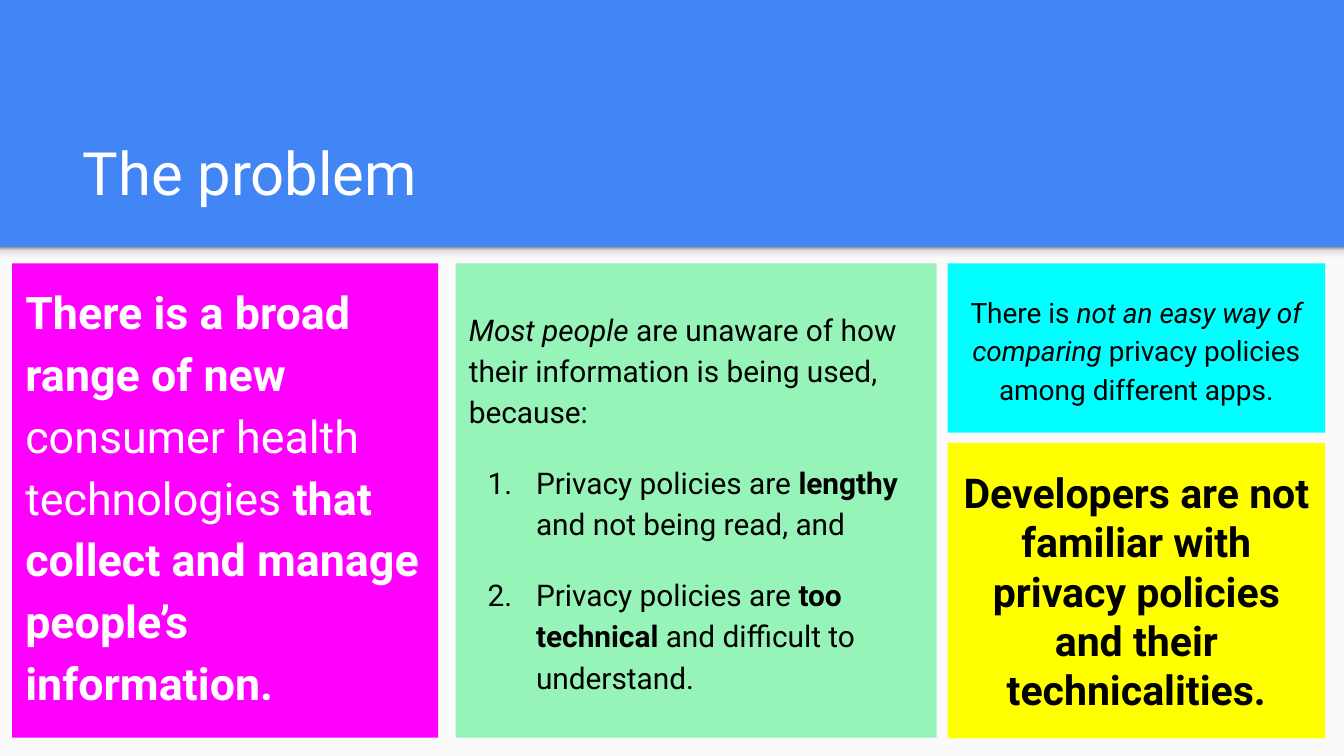
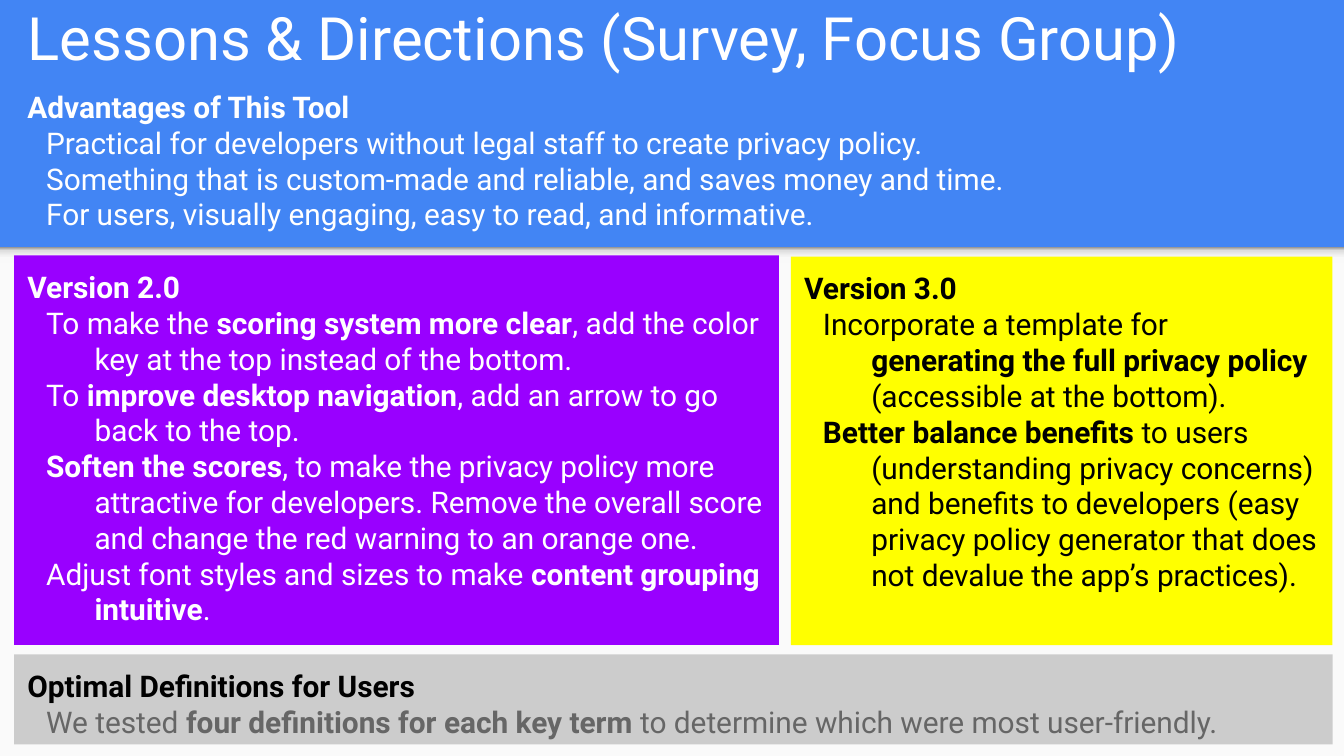
from dataclasses import dataclass
from typing import Optional

from lxml import etree
from pptx import Presentation
from pptx import util as u
from pptx.dml.color import RGBColor
from pptx.enum import shapes, text
from pptx.oxml.ns import qn

PX = 4572  # 200 px to the inch
PAGE_WIDTH, PAGE_HEIGHT = 2000, 1125
BAND_HEIGHT = 368


@dataclass(frozen=True)
class Theme:
    font: str = "Roboto"
    blue: str = "4285F4"
    panel: str = "FAFAFA"
    white: str = "FFFFFF"
    black: str = "000000"
    muted: str = "666666"
    magenta: str = "FF00FF"
    mint: str = "96F4B9"
    cyan: str = "00FFFF"
    yellow: str = "FFFF00"
    purple: str = "9900FF"
    silver: str = "CCCCCC"
    shadow: tuple = ((0, "F9F9F9"), (36, "F9F9F9"), (80, "DEDEDE"), (100, "999999"))
    title_size: int = 32
    lead_size: int = 24
    strong_size: int = 22
    body_size: int = 16
    small_size: int = 15
    inset: int = 20
    item_margin: int = 100
    item_indent: int = -72


THEME = Theme()


@dataclass(frozen=True)
class Area:
    left: int
    top: int
    width: int
    height: int

    def emu(self) -> tuple:
        return tuple(u.Emu(side * PX) for side in
                     (self.left, self.top, self.width, self.height))


@dataclass(frozen=True)
class Card:
    """A filled box; *stars* mark bold text and _underscores_ italic text."""
    area: Area
    fill: str
    heading: str
    items: tuple = ()
    ink: str = THEME.black
    item_ink: Optional[str] = None
    size: int = THEME.body_size
    numbered: bool = False
    spacing: float = 1.0
    after: int = 0
    align: text.PP_ALIGN = text.PP_ALIGN.LEFT
    anchor: text.MSO_ANCHOR = text.MSO_ANCHOR.TOP


@dataclass(frozen=True)
class Page:
    title: str
    title_area: Area
    cards: tuple


def add_rectangle(page, area: Area, fill: str):
    box = page.shapes.add_shape(shapes.MSO_SHAPE.RECTANGLE, *area.emu())
    box.shadow.inherit = False
    box.line.fill.background()
    box.fill.solid()
    box.fill.fore_color.rgb = RGBColor.from_string(fill)
    return box


def set_frame(frame, anchor) -> None:
    frame.word_wrap = True
    frame.auto_size = text.MSO_AUTO_SIZE.NONE
    frame.vertical_anchor = anchor
    frame.margin_left = frame.margin_right = u.Emu(THEME.inset * PX)
    frame.margin_top = frame.margin_bottom = u.Emu(THEME.inset * PX)


def style_font(font, size: int, ink: str) -> None:
    font.name = THEME.font
    font.size = u.Pt(size)
    font.color.rgb = RGBColor.from_string(ink)


def write_spans(para, marked: str, size: int, ink: str) -> None:
    for bold, chunk in enumerate(marked.split("*")):
        for italic, words in enumerate(chunk.split("_")):
            if words:
                span = para.add_run()
                span.text = words
                style_font(span.font, size, ink)
                span.font.bold = bold % 2 == 1
                span.font.italic = italic % 2 == 1


def indent_item(para, numbered: bool) -> None:
    props = para._p.get_or_add_pPr()
    props.set("marL", str(THEME.item_margin * PX))
    props.set("indent", str(THEME.item_indent * PX))
    if numbered:
        etree.SubElement(props, qn("a:buFont"), typeface=THEME.font)
        etree.SubElement(props, qn("a:buAutoNum"), type="arabicPeriod")
    else:
        etree.SubElement(props, qn("a:buNone"))


def add_card(page, card: Card) -> None:
    frame = add_rectangle(page, card.area, card.fill).text_frame
    set_frame(frame, card.anchor)
    for index, marked in enumerate((card.heading, *card.items)):
        para = frame.add_paragraph() if index else frame.paragraphs[0]
        if index:
            indent_item(para, card.numbered)
        para.alignment = card.align
        para.line_spacing = card.spacing
        para.space_after = u.Pt(card.after)
        ink = card.item_ink if index and card.item_ink else card.ink
        write_spans(para, marked, card.size, ink)


def add_backdrop(page) -> None:
    page.background.fill.solid()
    page.background.fill.fore_color.rgb = RGBColor.from_string(THEME.blue)
    add_rectangle(page, Area(0, BAND_HEIGHT, PAGE_WIDTH, PAGE_HEIGHT - BAND_HEIGHT),
                  THEME.panel)
    # Soft shadow under the blue band, dark edge on top
    edge = add_rectangle(page, Area(0, BAND_HEIGHT, PAGE_WIDTH, 24), THEME.panel)
    edge.fill.gradient()
    edge.fill.gradient_angle = 90
    stops = edge._element.spPr.find(qn("a:gradFill")).find(qn("a:gsLst"))
    for stop in list(stops):
        stops.remove(stop)
    for percent, tint in THEME.shadow:
        stop = etree.SubElement(stops, qn("a:gs"), pos=str(percent * 1000))
        etree.SubElement(stop, qn("a:srgbClr"), val=tint)


def add_title(page, title: str, area: Area) -> None:
    box = page.shapes.title
    box.left, box.top, box.width, box.height = area.emu()
    box.text_frame.text = title
    set_frame(box.text_frame, text.MSO_ANCHOR.BOTTOM)
    para = box.text_frame.paragraphs[0]
    para.alignment = text.PP_ALIGN.LEFT
    style_font(para.runs[0].font, THEME.title_size, THEME.white)


def add_page(deck, content: Page) -> None:
    page = deck.slides.add_slide(deck.slide_layouts[5])
    add_backdrop(page)
    add_title(page, content.title, content.title_area)
    for card in content.cards:
        add_card(page, card)


MIDDLE, CENTER = text.MSO_ANCHOR.MIDDLE, text.PP_ALIGN.CENTER

PROBLEM = Page("The problem", Area(103, 161, 1798, 168), (
    Card(Area(18, 392, 634, 706), THEME.magenta,
         "*There is a broad range of new *consumer health technologies"
         "* that collect and manage people’s information.*",
         ink=THEME.white, size=THEME.lead_size, spacing=1.15, after=16),
    Card(Area(678, 392, 716, 706), THEME.mint,
         "_Most people_ are unaware of how their information is being used, because:",
         ("Privacy policies are *lengthy* and not being read, and",
          "Privacy policies are *too technical* and difficult to understand."),
         numbered=True, spacing=1.15, after=16, anchor=MIDDLE),
    Card(Area(1410, 392, 562, 252), THEME.cyan,
         "There is _not an easy way of comparing_ privacy policies among different apps.",
         size=THEME.small_size, spacing=1.15, after=16, align=CENTER, anchor=MIDDLE),
    Card(Area(1410, 659, 562, 440), THEME.yellow,
         "*Developers are not familiar with privacy policies and their technicalities.*",
         size=THEME.strong_size, after=16, align=CENTER, anchor=MIDDLE),
))

LESSONS = Page("Lessons & Directions (Survey, Focus Group)", Area(21, -6, 1880, 134), (
    Card(Area(21, 112, 1942, 248), THEME.blue, "*Advantages of This Tool*",
         ("Practical for developers without legal staff to create privacy policy.",
          "Something that is custom-made and reliable, and saves money and time.",
          "For users, visually engaging, easy to read, and informative."),
         ink=THEME.white),
    Card(Area(21, 380, 1138, 580), THEME.purple, "*Version 2.0*",
         ("To make the* scoring system more clear*, add the color key at the top "
          "instead of the bottom.",
          "To *improve desktop navigation*, add an arrow to go back to the top.",
          "*Soften the scores*, to make the privacy policy more attractive for "
          "developers. Remove the overall score and change the red warning to an "
          "orange one.",
          "Adjust font styles and sizes to make *content grouping intuitive*."),
         ink=THEME.white),
    Card(Area(1177, 382, 806, 578), THEME.yellow, "*Version 3.0*",
         ("Incorporate a template for *generating the full privacy policy* "
          "(accessible at the bottom).",
          "*Better balance benefits* to users (understanding privacy concerns) and "
          "benefits to developers (easy privacy policy generator that does not "
          "devalue the app’s practices).")),
    Card(Area(21, 974, 1962, 134), THEME.silver, "*Optimal Definitions for Users*",
         ("We tested *four definitions for each key term *to determine which were "
          "most user-friendly.",),
         item_ink=THEME.muted),
))


def main() -> None:
    deck = Presentation()
    deck.slide_width = u.Emu(PAGE_WIDTH * PX)
    deck.slide_height = u.Emu(PAGE_HEIGHT * PX)
    for content in (PROBLEM, LESSONS):
        add_page(deck, content)
    deck.save("out.pptx")


if __name__ == "__main__":
    main()
